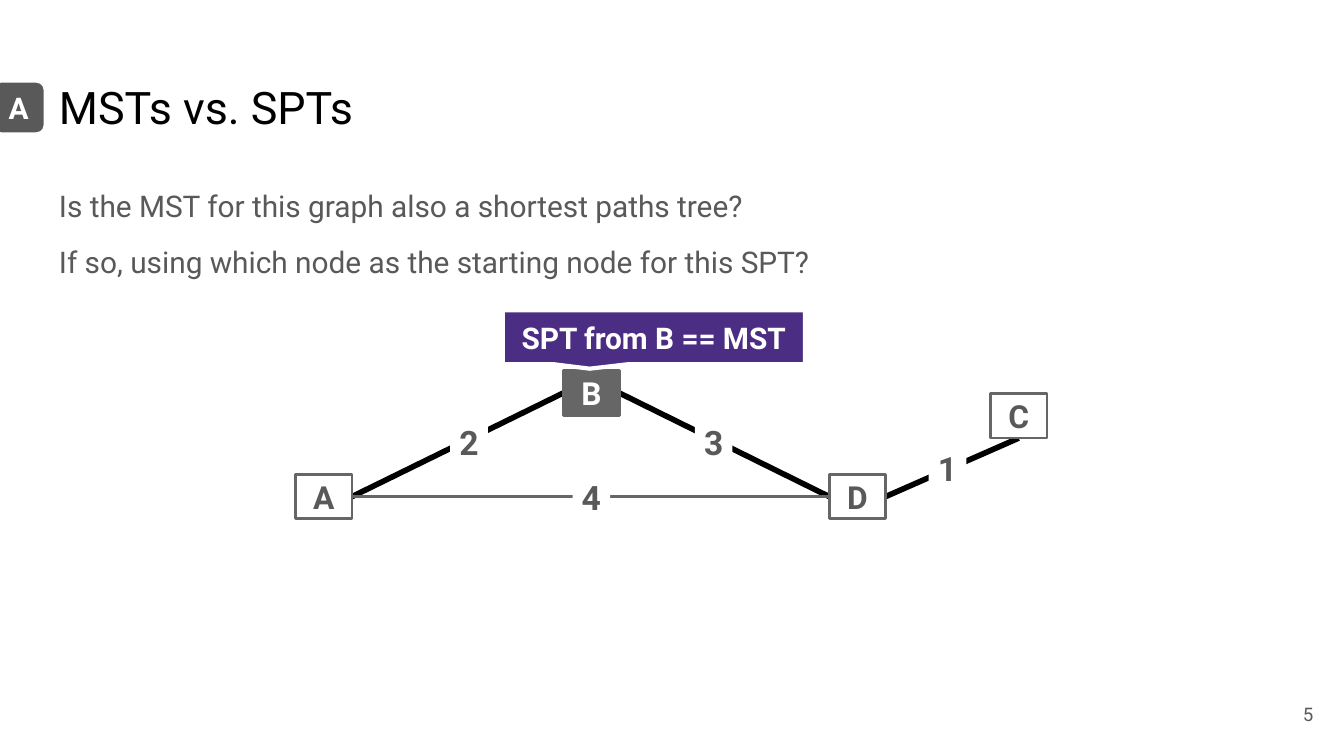
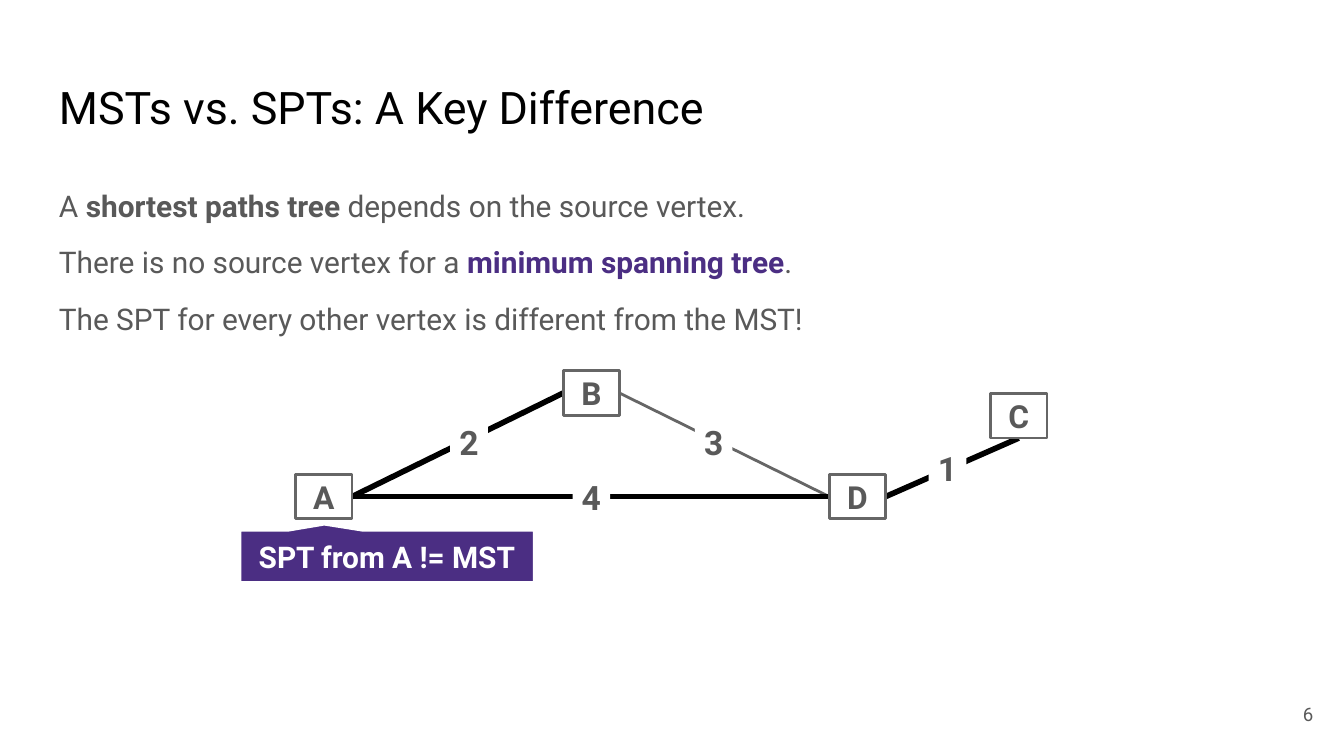
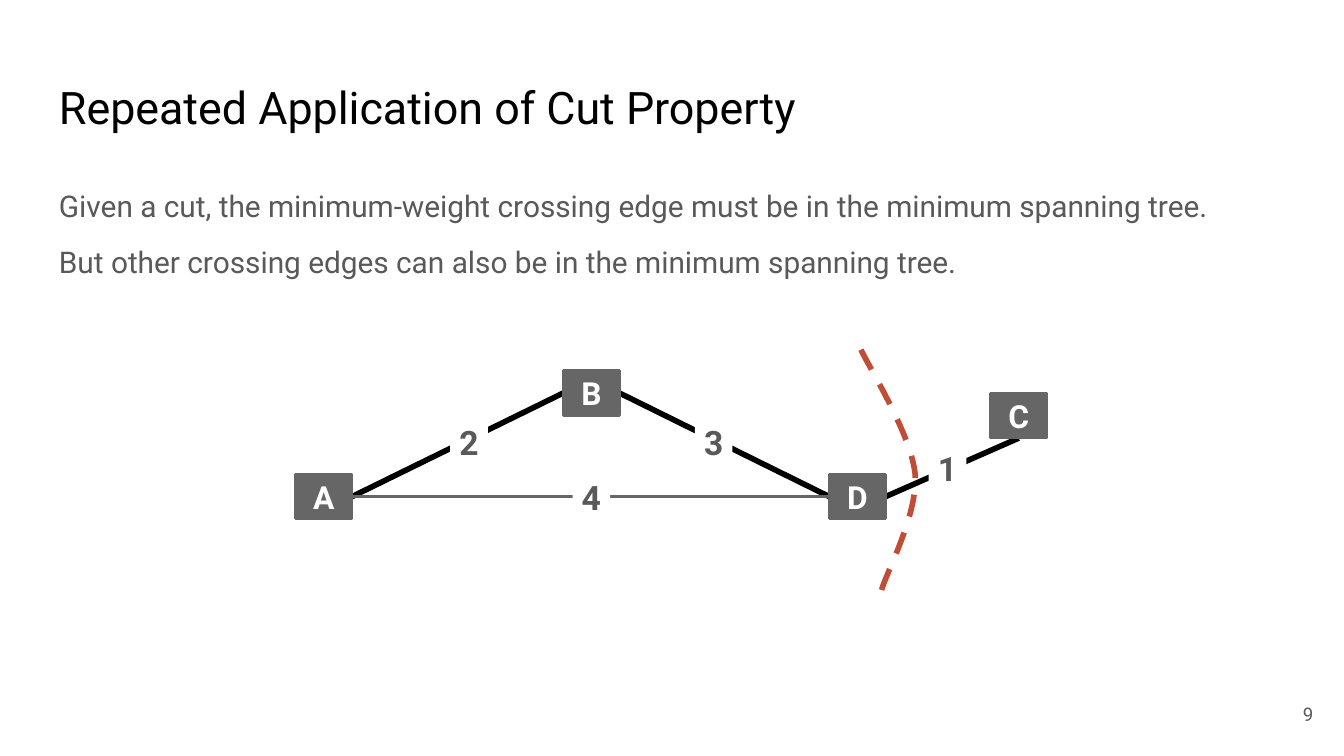
from pptx import Presentation
from pptx.dml.color import RGBColor
from pptx.enum.dml import MSO_LINE
from pptx.enum.shapes import MSO_CONNECTOR, MSO_SHAPE
from pptx.enum.text import MSO_ANCHOR, PP_ALIGN
from pptx.oxml.ns import qn
from pptx.util import Inches, Pt
from lxml.etree import SubElement

SLIDE_WIDTH = Inches(10)
SLIDE_HEIGHT = SLIDE_WIDTH * 9 // 16
COLORS = {"black": "000000", "white": "FFFFFF", "text": "595959",
          "line": "666666", "purple": "4B2E83", "cut": "C04E36"}
FONT = "Roboto"

NODE_SIZE = (0.42, 0.33)
NODES = {"A": (2.2, 3.53), "B": (4.19, 2.76), "C": (7.37, 2.93), "D": (6.17, 3.53)}
PORTS = {"left": (0, 0.5), "right": (1, 0.5), "bottom": (0.5, 1)}
WEIGHT_SIZE = 0.28
# edge: (port on first node, port on second node, weight, weight position)
EDGES = {
    "BD": ("right", "left", 3, (5.17, 3.15)),
    "AB": ("right", "left", 2, (3.35, 3.15)),
    "AD": ("right", "left", 4, (4.26, 3.56)),
    "DC": ("right", "bottom", 1, (6.91, 3.34)),
}
CUT_START = (6.56, 4.39)
CUT_CURVES = [((6.6, 4.25), (6.83, 3.83), (6.81, 3.53)),
              ((6.78, 3.23), (6.47, 2.74), (6.4, 2.59))]
CUT_STEPS = 20

# Each body line is a list of (text, bold, color) runs.
SLIDES = [
    {"title": "MSTs vs. SPTs", "number": 5, "badge": "A",
     "body": [[("Is the MST for this graph also a shortest paths tree?", False, "text")],
              [("If so, using which node as the starting node for this SPT?", False, "text")]],
     "tree": ["AB", "BD", "DC"], "filled": "B",
     "callout": ("SPT from B == MST", (3.74, 2.31, 2.25, 0.4), (-0.212, 0.585, 0))},
    {"title": "MSTs vs. SPTs: A Key Difference", "number": 6,
     "body": [[("A ", False, "text"), ("shortest paths tree", True, "text"),
               (" depends on the source vertex.", False, "text")],
              [("There is no source vertex for a ", False, "text"),
               ("minimum spanning tree", True, "purple"), (".", False, "text")],
              [("The SPT for every other vertex is different from the MST!", False, "text")]],
     "tree": ["AB", "AD", "DC"], "filled": "",
     "callout": ("SPT from A != MST", (1.78, 3.94, 2.2, 0.4), (-0.212, -0.613, 0))},
    {"title": "Repeated Application of Cut Property", "number": 9,
     "body": [[("Given a cut, the minimum-weight crossing edge must be in the "
                "minimum spanning tree.", False, "text")],
              [("But other crossing edges can also be in the minimum spanning tree.",
                False, "text")]],
     "tree": ["AB", "BD", "DC"], "filled": "ABCD", "cut": True},
]


def rgb(name):
    return RGBColor.from_string(COLORS[name])


def style_font(font, size, color, bold=False):
    font.name, font.size, font.bold = FONT, Pt(size), bold
    font.color.rgb = rgb(color)


def prepare_frame(shape, anchor, side_inset=0.1):
    frame = shape.text_frame
    frame.word_wrap = True
    frame.vertical_anchor = anchor
    frame.margin_left = frame.margin_right = Inches(side_inset)
    frame.margin_top = frame.margin_bottom = Inches(0.1)
    return frame


def write_line(frame, text, size, color, bold=False, align=PP_ALIGN.LEFT):
    paragraph = frame.paragraphs[0]
    paragraph.text = text
    paragraph.alignment = align
    style_font(paragraph.runs[0].font, size, color, bold)


def add_text_box(slide, box, anchor=MSO_ANCHOR.TOP):
    return prepare_frame(slide.shapes.add_textbox(*map(Inches, box)), anchor)


def add_label(slide, kind, box, text, size, fill, color="white",
              line=None, adjustments=(), side_inset=0.1):
    """Add a filled shape with bold centred text; line is (color, width)."""
    shape = slide.shapes.add_shape(kind, *map(Inches, box))
    shape.shadow.inherit = False
    for index, value in enumerate(adjustments):
        shape.adjustments[index] = value
    shape.fill.solid()
    shape.fill.fore_color.rgb = rgb(fill)
    if line:
        shape.line.color.rgb, shape.line.width = rgb(line[0]), Pt(line[1])
    else:
        shape.line.fill.background()
    frame = prepare_frame(shape, MSO_ANCHOR.MIDDLE, side_inset)
    write_line(frame, text, size, color, True, PP_ALIGN.CENTER)


def add_body(slide, lines):
    frame = add_text_box(slide, (0.34, 1.26, 9.32, 0.1 + 0.4 * len(lines)))
    for index, runs in enumerate(lines):
        paragraph = frame.add_paragraph() if index else frame.paragraphs[0]
        paragraph.line_spacing = 1.15
        if index:
            paragraph.space_before = Pt(8)
        for text, bold, color in runs:
            run = paragraph.add_run()
            run.text = text
            style_font(run.font, 16, color, bold)
    paragraph.space_after = Pt(8)


def port_point(node, port):
    return [Inches(start + size * share)
            for start, size, share in zip(NODES[node], NODE_SIZE, PORTS[port])]


def add_graph(slide, tree, filled):
    for (first, second), (out_port, in_port, _, _) in EDGES.items():
        edge = slide.shapes.add_connector(
            MSO_CONNECTOR.STRAIGHT, *port_point(first, out_port), *port_point(second, in_port))
        SubElement(edge.element.spPr, qn("a:effectLst"))
        in_tree = first + second in tree
        edge.line.color.rgb = rgb("black" if in_tree else "line")
        edge.line.width = Pt(3 if in_tree else 1.5)
    for _, _, weight, position in EDGES.values():
        add_label(slide, MSO_SHAPE.RECTANGLE, (*position, WEIGHT_SIZE, WEIGHT_SIZE),
                  str(weight), 18, "white", "text", side_inset=0)
    for name, position in NODES.items():
        fill, color = ("line", "white") if name in filled else ("white", "text")
        add_label(slide, MSO_SHAPE.RECTANGLE, (*position, *NODE_SIZE),
                  name, 17, fill, color, ("line", 1.5))


def bezier_point(points, t):
    factors = ((1 - t) ** 3, 3 * t * (1 - t) ** 2, 3 * t ** 2 * (1 - t), t ** 3)
    return tuple(sum(f * value for f, value in zip(factors, axis)) for axis in zip(*points))


def add_cut(slide):
    vertices = [CUT_START]
    for curve in CUT_CURVES:
        points = (vertices[-1], *curve)
        vertices += [bezier_point(points, step / CUT_STEPS)
                     for step in range(1, CUT_STEPS + 1)]
    start, *others = [tuple(map(Inches, vertex)) for vertex in vertices]
    builder = slide.shapes.build_freeform(*start)
    builder.add_line_segments(others, close=False)
    cut = builder.convert_to_shape()
    cut.shadow.inherit = False
    cut.fill.background()
    cut.line.color.rgb, cut.line.width = rgb("cut"), Pt(3)
    cut.line.dash_style = MSO_LINE.DASH


def add_slide(presentation, content):
    slide = presentation.slides.add_slide(presentation.slide_layouts[6])
    write_line(add_text_box(slide, (0.34, 0.49, 9.32, 0.63)), content["title"], 24, "black")
    add_body(slide, content["body"])
    write_line(add_text_box(slide, (9.27, 5.1, 0.6, 0.43), MSO_ANCHOR.MIDDLE),
               str(content["number"]), 10, "text", align=PP_ALIGN.RIGHT)
    add_graph(slide, content["tree"], content["filled"])
    if "badge" in content:
        add_label(slide, MSO_SHAPE.ROUNDED_RECTANGLE, (-0.06, 0.6, 0.4, 0.4),
                  content["badge"], 16, "text", line=("white", 2.25), adjustments=[0.167])
    if "callout" in content:
        text, box, adjustments = content["callout"]
        add_label(slide, MSO_SHAPE.ROUNDED_RECTANGULAR_CALLOUT, box, text, 16, "purple",
                  line=("white", 2.25), adjustments=adjustments)
    if content.get("cut"):
        add_cut(slide)


def main():
    presentation = Presentation()
    presentation.slide_width, presentation.slide_height = SLIDE_WIDTH, SLIDE_HEIGHT
    for content in SLIDES:
        add_slide(presentation, content)
    presentation.save("out.pptx")


if __name__ == "__main__":
    main()
